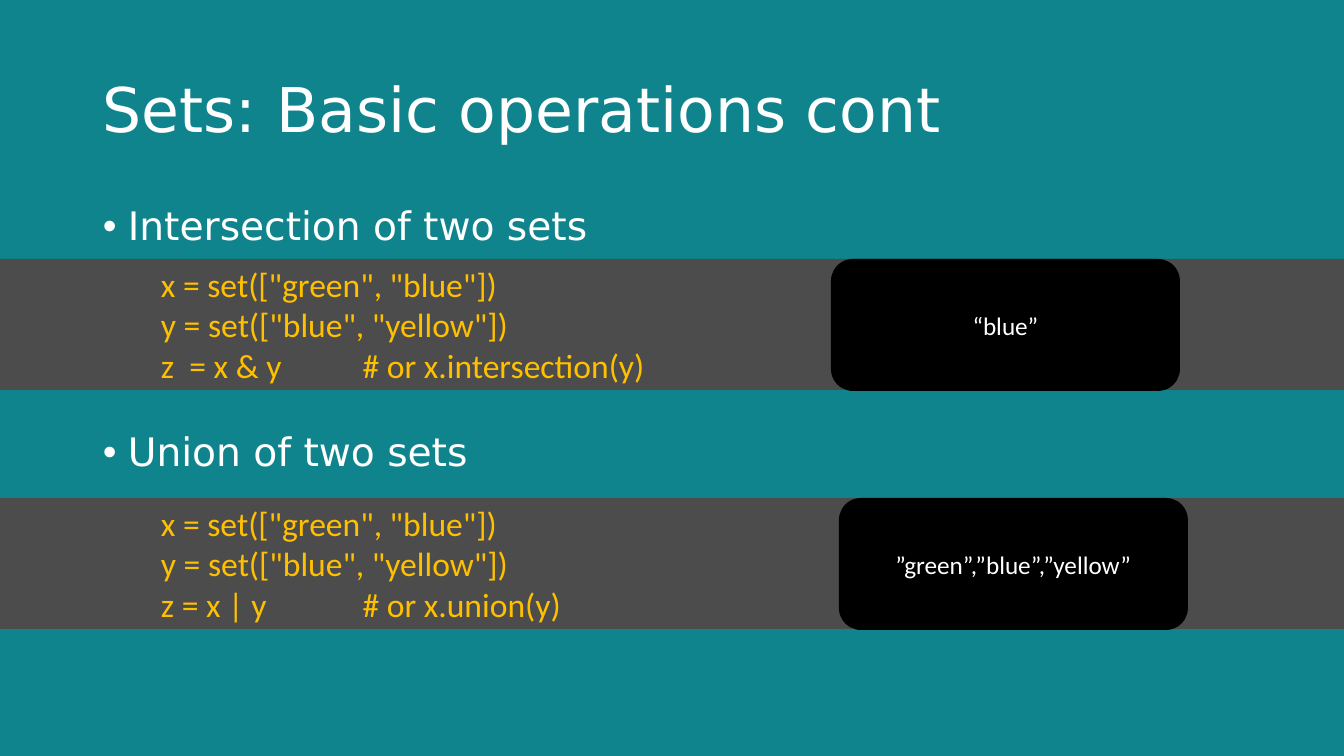
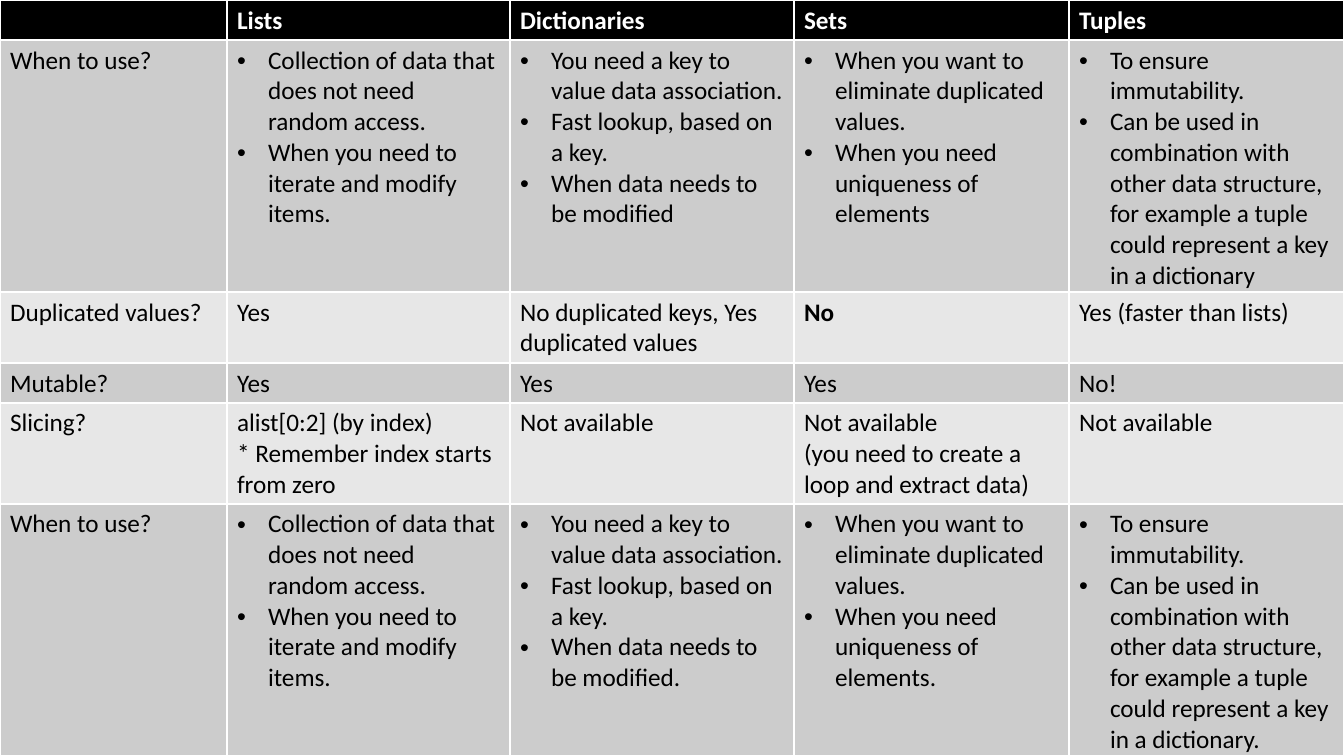
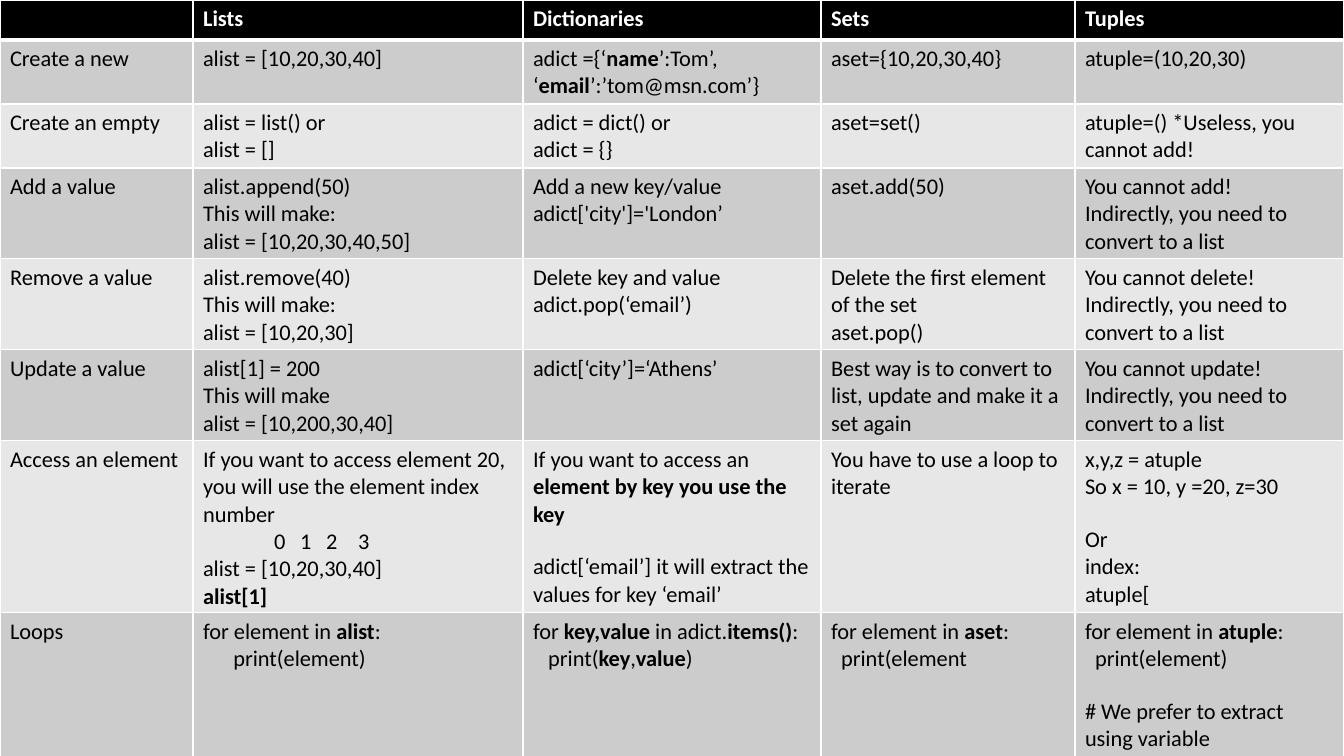
from lxml import etree
from pptx import Presentation
from pptx.dml.color import RGBColor
from pptx.enum.shapes import MSO_SHAPE
from pptx.enum.text import MSO_ANCHOR, PP_ALIGN
from pptx.oxml.ns import qn
from pptx.util import Pt

RECT, ROUND = MSO_SHAPE.RECTANGLE, MSO_SHAPE.ROUNDED_RECTANGLE
TOP, MIDDLE = MSO_ANCHOR.TOP, MSO_ANCHOR.MIDDLE
LEFT, CENTER = PP_ALIGN.LEFT, PP_ALIGN.CENTER

TEAL = RGBColor(0x0F, 0x84, 0x8D)
WHITE = RGBColor(0xFF, 0xFF, 0xFF)
BLACK = RGBColor(0x00, 0x00, 0x00)
GREY = RGBColor(0x4C, 0x4C, 0x4C)
GOLD = RGBColor(0xFF, 0xC0, 0x00)
DARK = RGBColor(0xCC, 0xCC, 0xCC)
PALE = RGBColor(0xE7, 0xE7, 0xE7)

HEAD, BODY = "DejaVu Sans", "Calibri"
WIDE, HIGH = 1344, 756
SCALE = 914400 / 100.8
STOPS = (71, 97, 123, 155)


def px(n):
    return round(n * SCALE)


def sub(parent, tag, **attrs):
    node = etree.SubElement(parent, qn(tag))
    for key, value in attrs.items():
        node.set(key, str(value))
    return node


def write(frame, text, size=18, color=BLACK, font=BODY, bold=False,
          align=LEFT, indent=0, hang=31, line=None, gap=18):
    """Lines become paragraphs, an empty line a gap, "• " a bullet, ** toggles bold."""
    frame.word_wrap = True
    para, space = None, 0
    for row in text.split("\n"):
        if not row:
            space = gap
            continue
        para = frame.paragraphs[0] if para is None else frame.add_paragraph()
        para.alignment = align
        if line:
            para.line_spacing = line
        if space:
            para.space_before = Pt(space)
            space = 0
        props = para._p.get_or_add_pPr()
        if row.startswith("• "):
            row = row[2:]
            props.set("marL", str(px(hang)))
            props.set("indent", str(-px(hang)))
            sub(props, "a:buFont", typeface="Arial")
            sub(props, "a:buChar", char="•")
        elif indent:
            props.set("marL", str(px(indent)))
        if row.startswith("\t"):
            tabs = sub(props, "a:tabLst")
            for stop in STOPS:
                sub(tabs, "a:tab", pos=px(stop), algn="l")
        for i, part in enumerate(row.split("**")):
            if part:
                run = para.add_run()
                run.text = part
                run.font.size = Pt(size)
                run.font.name = font
                run.font.bold = bold or i % 2 == 1
                run.font.color.rgb = color


class Deck:
    def __init__(self):
        self.show = Presentation()
        self.show.slide_width, self.show.slide_height = px(WIDE), px(HIGH)

    def slide(self):
        self.page = self.show.slides.add_slide(self.show.slide_layouts[6])
        fill = self.page.background.fill
        fill.solid()
        fill.fore_color.rgb = TEAL

    def text(self, x, y, w, h, text, anchor=TOP, **style):
        box = self.page.shapes.add_textbox(px(x), px(y), px(w), px(h))
        box.text_frame.vertical_anchor = anchor
        write(box.text_frame, text, font=HEAD, color=WHITE, line=0.9, **style)

    def box(self, kind, x, y, w, h, fill, text, anchor=TOP, **style):
        shape = self.page.shapes.add_shape(kind, px(x), px(y), px(w), px(h))
        shape.shadow.inherit = False
        shape.fill.solid()
        shape.fill.fore_color.rgb = fill
        shape.line.fill.background()
        shape.text_frame.vertical_anchor = anchor
        write(shape.text_frame, text, **style)

    def code(self, y, text, x, result):
        """A code band with its result in a rounded box at x."""
        self.box(RECT, 0, y, WIDE, 131, GREY, text, size=24, color=GOLD, indent=151)
        self.box(ROUND, x, y, 349, 132, BLACK, result, anchor=MIDDLE,
                 color=WHITE, align=CENTER)

    def edge(self, cell, **widths):
        props = cell._tc.get_or_add_tcPr()
        for i, side in enumerate("LRTB"):
            width = Pt(widths.get(side, 0.96))
            line = etree.Element(qn(f"a:ln{side}"), w=str(width))
            sub(sub(line, "a:solidFill"), "a:srgbClr", val=WHITE)
            props.insert(i, line)

    def table(self, cols, rows, data, size, rule=0.96):
        """A full-slide table; rule is the width of the line under its head."""
        grid = self.page.shapes.add_table(len(rows), len(cols), 0, 0,
                                          px(sum(cols)), px(sum(rows))).table
        for col, width in zip(grid.columns, cols):
            col.width = px(width)
        for i, (row, height) in enumerate(zip(data, rows)):
            grid.rows[i].height = px(height)
            for j, text in enumerate(row):
                cell = grid.cell(i, j)
                cell.margin_bottom = 0
                cell.fill.solid()
                cell.fill.fore_color.rgb = (PALE, DARK)[i % 2] if i else BLACK
                self.edge(cell, **({"B": rule}, {"T": rule}, {})[min(i, 2)])
                write(cell.text_frame, text, size=size, bold=i == 0,
                      color=BLACK if i else WHITE)


NAMES = ["", "Lists", "Dictionaries", "Sets", "Tuples"]
USES = [
    "• Collection of data that does not need random access.\n"
    "• When you need to iterate and modify items.",
    "• You need a key to value data association.\n"
    "• Fast lookup, based on a key.\n"
    "• When data needs to be modified",
    "• When you want to eliminate duplicated values.\n"
    "• When you need uniqueness of elements",
    "• To ensure immutability.\n"
    "• Can be used in combination with other data structure, for example "
    "a tuple could represent a key in a dictionary",
]
TRAITS = [
    NAMES,
    ["When to use?", *USES],
    ["Duplicated values?", "Yes", "No duplicated keys, Yes duplicated values",
     "**No**", "Yes (faster than lists)"],
    ["Mutable?", "Yes", "Yes", "Yes", "No!"],
    ["Slicing?", "alist[0:2] (by index)\n* Remember index starts from zero",
     "Not available",
     "Not available\n(you need to create a loop and extract data)",
     "Not available"],
    ["When to use?", *(use.rstrip(".") + "." for use in USES)],
]


def deny(verb):
    return f"You cannot {verb}!\nIndirectly, you need to convert to a list"


ACTIONS = [
    NAMES,
    ["Create a new", "alist = [10,20,30,40]",
     "adict ={‘**name**’:Tom’,\n‘**email**’:’tom@msn.com’}",
     "aset={10,20,30,40}", "atuple=(10,20,30)"],
    ["Create an empty", "alist = list() or\nalist = []",
     "adict = dict() or\nadict = {}", "aset=set()",
     "atuple=() *Useless, you cannot add!"],
    ["Add a value", "alist.append(50)\nThis will make:\nalist = [10,20,30,40,50]",
     "Add a new key/value\nadict['city']='London’", "aset.add(50)", deny("add")],
    ["Remove a value", "alist.remove(40)\nThis will make:\nalist = [10,20,30]",
     "Delete key and value\nadict.pop(‘email’)",
     "Delete the first element of the set\naset.pop()", deny("delete")],
    ["Update a value", "alist[1] = 200\nThis will make\nalist = [10,200,30,40]",
     "adict[‘city’]=‘Athens’",
     "Best way is to convert to list, update and make it a set again",
     deny("update")],
    ["Access an element",
     "If you want to access element 20, you will use the element index number\n"
     "\t0\t1\t2\t3\nalist = [10,20,30,40]\n**alist[1]**",
     "If you want to access an **element by key you use the key**\n\n"
     "adict[‘email’] it will extract the values for key ‘email’",
     "You have to use a loop to iterate",
     "x,y,z = atuple\nSo x = 10, y =20, z=30\n\nOr\nindex:\natuple["],
    ["Loops", "for element in **alist**:\n      print(element)",
     "for **key,value **in adict.**items()**:\n   print(**key**,**value**)",
     "for element in **aset**:\n  print(element",
     "for element in **atuple**:\n  print(element)\n\n"
     "# We prefer to extract using variable"],
]
SETUP = 'x = set(["green", "blue"])\ny = set(["blue", "yellow"])\n'


def main():
    deck = Deck()

    deck.slide()
    deck.text(93, 40, 1159, 146, "Sets: Basic operations cont",
              anchor=MIDDLE, size=44)
    deck.text(93, 202, 1159, 480,
              "• Intersection of two sets\n\n• Union of two sets",
              size=28, hang=25, gap=131)
    deck.code(259, SETUP + "z  = x & y\t\t# or x.intersection(y)", 831, "“blue”")
    deck.code(498, SETUP + "z = x | y\t\t# or x.union(y)", 839,
              "”green”,”blue”,”yellow”")

    deck.slide()
    deck.table((227, 283, 284, 275, 275), (40, 252, 71, 40, 101, 252), TRAITS, 18)

    deck.slide()
    deck.table((193, 330, 298, 254, 269), (40, 64, 64, 91, 91, 91, 172, 146),
               ACTIONS, 16, rule=3)

    deck.show.save("out.pptx")


if __name__ == "__main__":
    main()
